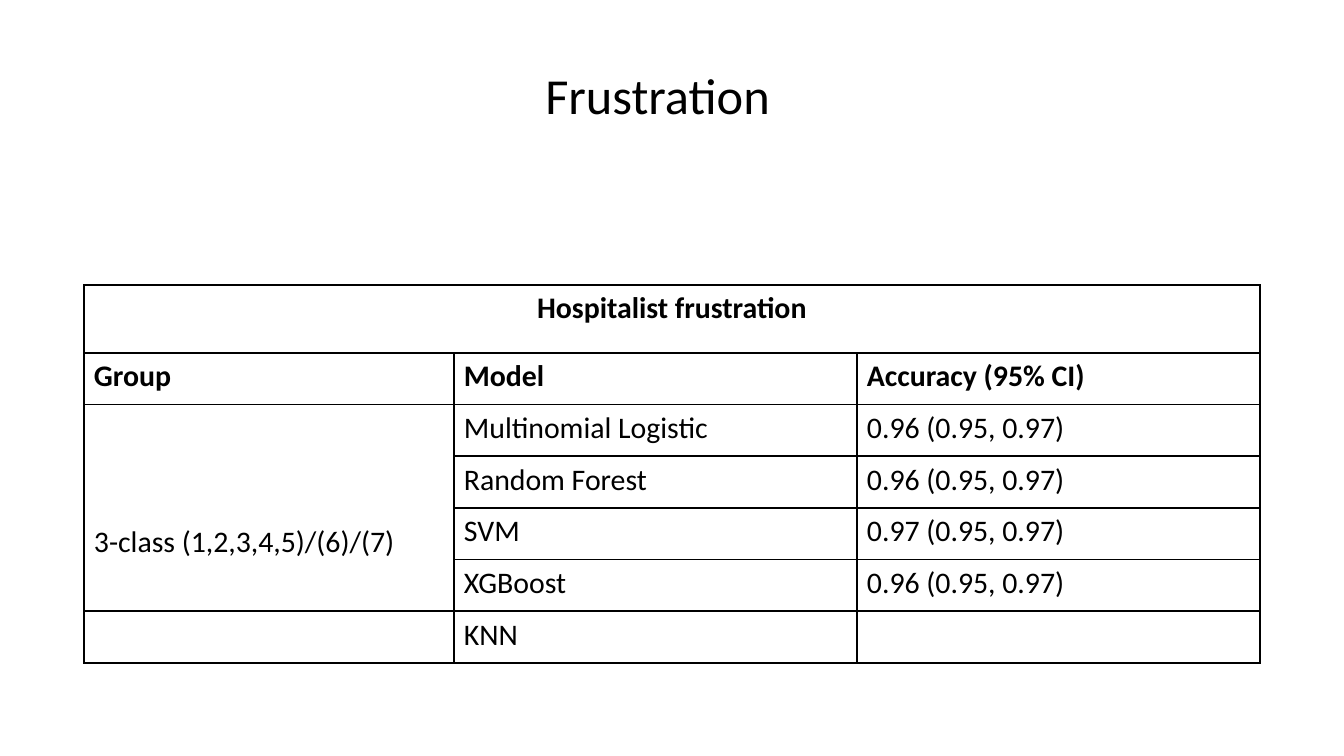
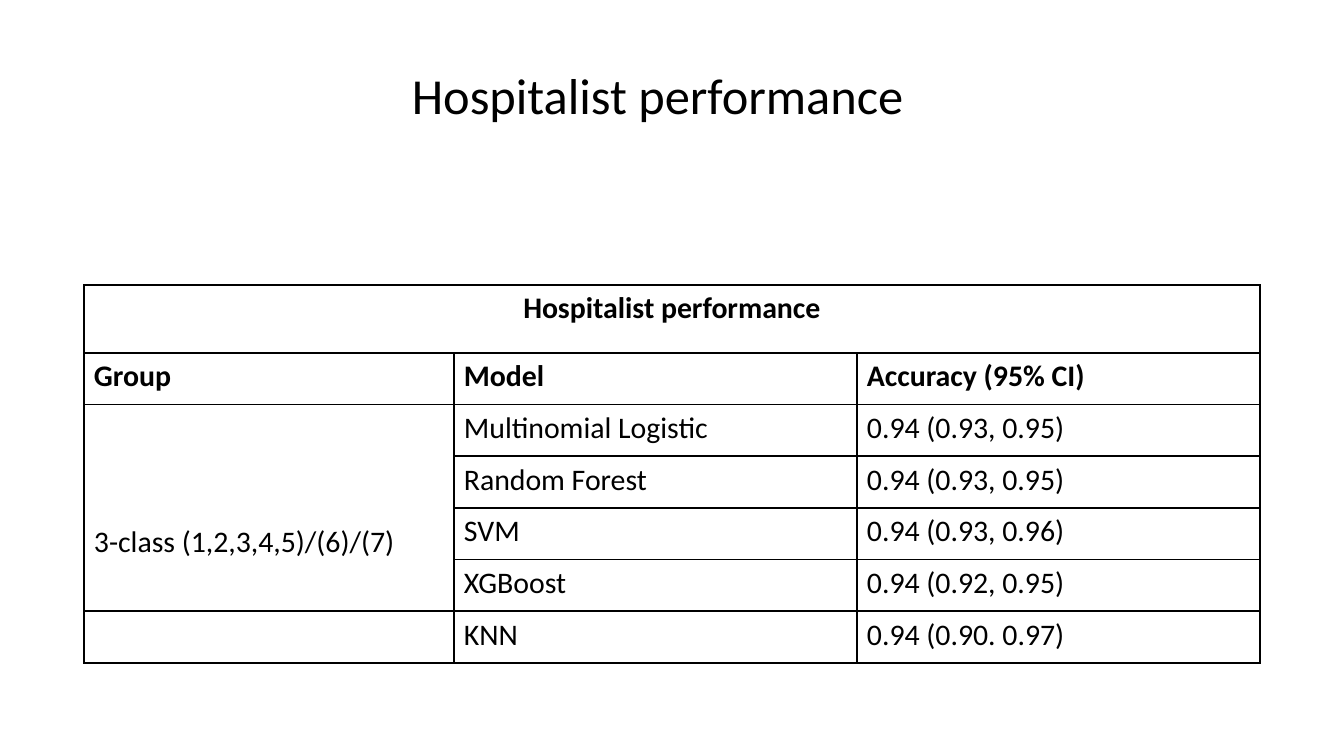
from collections import namedtuple

from lxml import etree
from pptx import Presentation
from pptx import util as u
from pptx.dml.color import RGBColor
from pptx.enum import shapes, text
from pptx.oxml.ns import qn

PX = 914400 / 134.4
COLORS = {"paper": "FFFFFF", "ink": "000000"}
FONT = "Calibri"
Box = namedtuple("Box", "left top width height")

PAGE = Box(0, 0, 1344, 756)
BAND = Box(0, 0, 1344, 187)
TITLE = Box(271, 22, 773, 136)
TABLE = Box(84, 285, 1176, 378)
COLUMNS = (370, 403, 403)
CAPTION_HEIGHT = 68
CELL_INSET = 10
GROUP_DROP = 114

HEADINGS = ("Group", "Model", "Accuracy (95% CI)")
GROUP = "3-class (1,2,3,4,5)/(6)/(7)"
MODELS = ("Multinomial Logistic", "Random Forest", "SVM", "XGBoost", "KNN")
RESULTS = [
    ("Frustration", "Hospitalist frustration",
     ("0.96 (0.95, 0.97)", "0.96 (0.95, 0.97)", "0.97 (0.95, 0.97)",
      "0.96 (0.95, 0.97)", "")),
    ("Hospitalist performance", "Hospitalist performance",
     ("0.94 (0.93, 0.95)", "0.94 (0.93, 0.95)", "0.94 (0.93, 0.96)",
      "0.94 (0.92, 0.95)", "0.94 (0.90. 0.97)")),
]


def px(length):
    return u.Emu(round(length * PX))


def place(box):
    return [px(length) for length in box]


def color(name):
    return RGBColor.from_string(COLORS[name])


def write(frame, words, size, bold=False, centered=False):
    para = frame.paragraphs[0]
    para.line_spacing = 1.15
    para.space_after = u.Pt(8)
    para.alignment = text.PP_ALIGN.CENTER if centered else text.PP_ALIGN.LEFT
    span = para.add_run()
    span.text = words
    span.font.name = FONT
    span.font.size = u.Pt(size)
    span.font.bold = bold
    span.font.color.rgb = color("ink")


def add_title(page, band, box, title):
    backdrop = page.shapes.add_shape(shapes.MSO_SHAPE.RECTANGLE, *place(band))
    backdrop.shadow.inherit = False
    backdrop.fill.solid()
    backdrop.fill.fore_color.rgb = color("paper")
    backdrop.line.fill.background()
    frame = page.shapes.add_textbox(*place(box)).text_frame
    frame.word_wrap = True
    frame.vertical_anchor = text.MSO_ANCHOR.MIDDLE
    write(frame, title, 27, centered=True)


def style_cell(cell):
    """Clear the fill, set the insets and rule all four sides."""
    cell.fill.background()
    cell.margin_left = cell.margin_right = px(CELL_INSET)
    cell.margin_top = cell.margin_bottom = 0
    properties = cell._tc.get_or_add_tcPr()
    for index, side in enumerate(("a:lnL", "a:lnR", "a:lnT", "a:lnB")):
        line = etree.Element(qn(side), w=str(u.Pt(1)))
        fill = etree.SubElement(line, qn("a:solidFill"))
        etree.SubElement(fill, qn("a:srgbClr"), val=COLORS["ink"])
        properties.insert(index, line)


def add_results(page, box, caption, accuracies):
    body = [("", model, accuracy) for model, accuracy in zip(MODELS, accuracies)]
    body[0] = (GROUP,) + body[0][1:]
    rows = [(caption, "", ""), HEADINGS] + body
    table = page.shapes.add_table(len(rows), len(COLUMNS), *place(box)).table
    table.first_row = table.horz_banding = False
    for column, width in zip(table.columns, COLUMNS):
        column.width = px(width)
    row_height = (box.height - CAPTION_HEIGHT) / (len(rows) - 1)
    for r, row in enumerate(rows):
        table.rows[r].height = px(row_height if r else CAPTION_HEIGHT)
        for c, words in enumerate(row):
            cell = table.cell(r, c)
            style_cell(cell)
            if words:
                write(cell.text_frame, words, 16, bold=r < 2, centered=r == 0)
    table.cell(0, 0).merge(table.cell(0, 2))
    group = table.cell(2, 0)
    group.merge(table.cell(5, 0))
    group.margin_top = px(GROUP_DROP)


def main():
    deck = Presentation()
    deck.slide_width, deck.slide_height = px(PAGE.width), px(PAGE.height)
    for title, caption, accuracies in RESULTS:
        page = deck.slides.add_slide(deck.slide_layouts[6])
        add_title(page, BAND, TITLE, title)
        add_results(page, TABLE, caption, accuracies)
    deck.save("out.pptx")


if __name__ == "__main__":
    main()
